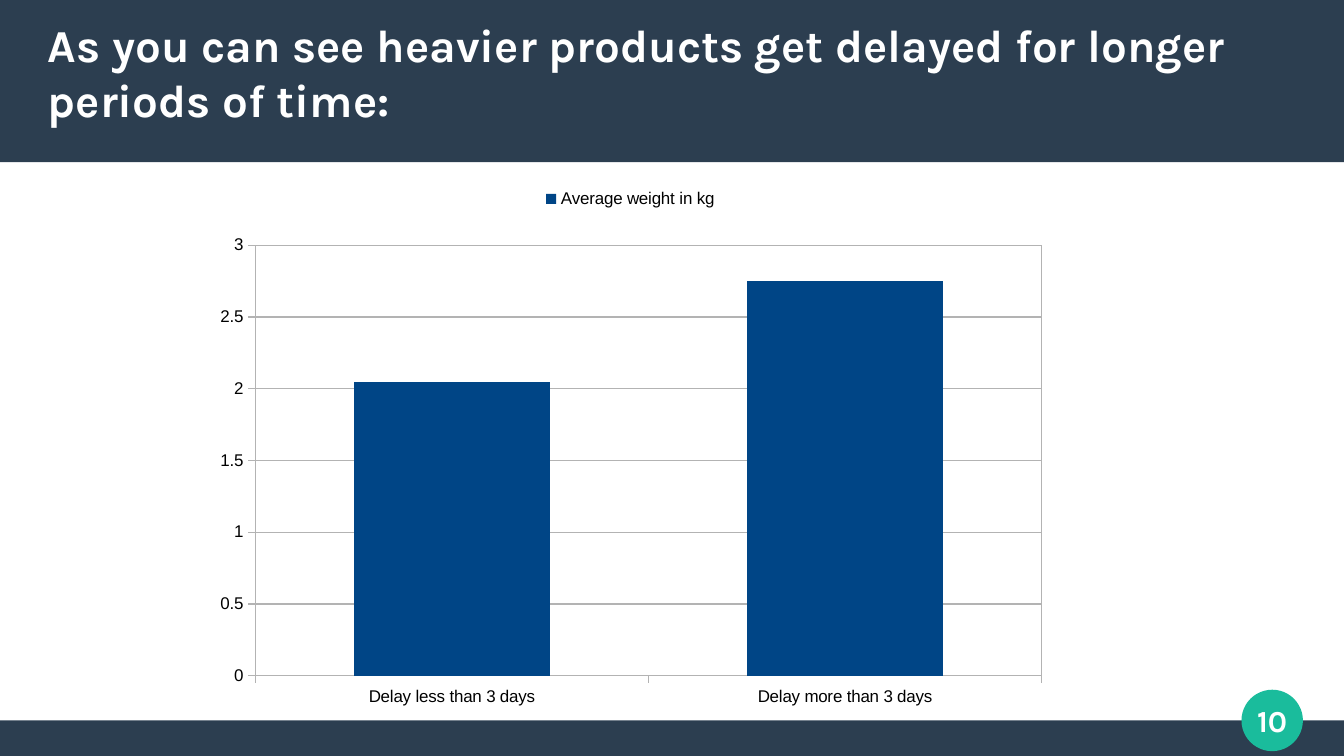
from pptx import Presentation
from pptx.chart.data import CategoryChartData
from pptx.dml.color import RGBColor
from pptx.enum.chart import XL_CHART_TYPE, XL_LEGEND_POSITION, XL_TICK_MARK
from pptx.enum.shapes import MSO_SHAPE
from pptx.enum.text import MSO_ANCHOR, PP_ALIGN
from pptx.oxml import parse_xml
from pptx.oxml.ns import nsdecls, qn
from pptx.util import Cm, Pt

NAVY = RGBColor(0x2C, 0x3E, 0x50)
TEAL = RGBColor(0x1A, 0xBC, 0x9C)
BLUE = RGBColor(0x00, 0x45, 0x86)
GREY = RGBColor(0xB3, 0xB3, 0xB3)
WHITE = RGBColor(0xFF, 0xFF, 0xFF)
BLACK = RGBColor(0x00, 0x00, 0x00)

RECT, OVAL = MSO_SHAPE.RECTANGLE, MSO_SHAPE.OVAL
COLUMN = XL_CHART_TYPE.COLUMN_CLUSTERED
TOP = XL_LEGEND_POSITION.TOP
TICK, NO_TICK = XL_TICK_MARK.OUTSIDE, XL_TICK_MARK.NONE
MIDDLE = MSO_ANCHOR.MIDDLE
LEFT, CENTER = PP_ALIGN.LEFT, PP_ALIGN.CENTER

WIDTH, HEIGHT = 28, 15.75
HEAD, FOOT = 3.38, 0.74


def add_solid(slide, kind, box, color):
    """Add a filled shape without an outline."""
    shape = slide.shapes.add_shape(kind, *map(Cm, box))
    shape.shadow.inherit = False
    shape.fill.solid()
    shape.fill.fore_color.rgb = color
    shape.line.fill.background()
    return shape


def write(shape, text, size, align):
    """Write one bold white run, centred in height, without insets."""
    frame = shape.text_frame
    frame.word_wrap = True
    frame.vertical_anchor = MIDDLE
    frame.margin_left = frame.margin_right = 0
    frame.margin_top = frame.margin_bottom = 0
    para = frame.paragraphs[0]
    para.alignment = align
    run = para.add_run()
    run.text = text
    run.font.name = "Karla"
    run.font.size = Pt(size)
    run.font.bold = True
    run.font.color.rgb = WHITE


def add_head(slide, box, text):
    """Draw the title band and its text."""
    left, top, width, height = box
    add_solid(slide, RECT, box, NAVY)
    title = slide.shapes.add_textbox(
        Cm(left + 1), Cm(top + 0.5), Cm(width - 2), Cm(height - 1.38))
    write(title, text, 27, LEFT)


def add_foot(slide, box, number):
    """Draw the bottom band and the round page badge on its top edge."""
    left, top, width, _ = box
    size = 1.25
    add_solid(slide, RECT, box, NAVY)
    badge = add_solid(
        slide, OVAL, (left + width - 2.12, top - size / 2, size, size), TEAL)
    badge.line.color.rgb = TEAL
    badge.line.width = Pt(0.85)
    write(badge, number, 18, CENTER)


def set_layout(part, index, target, **sizes):
    """Fix the place of a chart part as fractions of the chart."""
    for old in part.findall(qn("c:layout")):
        part.remove(old)
    goal = f'<c:layoutTarget val="{target}"/>' if target else ""
    modes = "".join(f'<c:{key}Mode val="edge"/>' for key in "xy")
    values = "".join(f'<c:{key} val="{val}"/>' for key, val in sizes.items())
    part.insert(index, parse_xml(
        f'<c:layout {nsdecls("c")}><c:manualLayout>{goal}{modes}{values}'
        '</c:manualLayout></c:layout>'))


def make_paint(fill, line):
    """Return chart shape properties with the given fill and line XML."""
    return parse_xml(
        f'<c:spPr {nsdecls("c", "a")}>{fill}<a:ln w="9525">{line}</a:ln></c:spPr>')


def set_line(line):
    """Give a chart line the thin grey style."""
    line.color.rgb = GREY
    line.width = Pt(0.75)


def set_font(font):
    """Give chart text its font."""
    font.name = "Arial"
    font.size = Pt(10)
    font.color.rgb = BLACK


def add_weights(slide, box):
    """Draw the column chart of average weights."""
    data = CategoryChartData()
    data.categories = ["Delay less than 3 days", "Delay more than 3 days"]
    data.add_series("Average weight in kg", (2.05, 2.75))
    chart = slide.shapes.add_chart(COLUMN, *map(Cm, box), data).chart
    chart.has_title = False
    set_font(chart.font)

    chart.has_legend = True
    legend = chart.legend
    legend.position = TOP
    legend.include_in_layout = False
    set_font(legend.font)

    for axis in (chart.category_axis, chart.value_axis):
        axis.major_tick_mark = TICK
        axis.minor_tick_mark = NO_TICK
        set_font(axis.tick_labels.font)
        set_line(axis.format.line)
    scale = chart.value_axis
    scale.minimum_scale, scale.maximum_scale = 0, 3
    scale.major_unit = 0.5
    scale.tick_labels.number_format = "General"
    scale.tick_labels.number_format_is_linked = False
    scale.has_major_gridlines = True
    set_line(scale.major_gridlines.format.line)

    plot = chart.plots[0]
    plot.gap_width = 100
    plot.vary_by_categories = False
    fill = plot.series[0].format.fill
    fill.solid()
    fill.fore_color.rgb = BLUE

    root = chart.element.find(qn("c:chart"))
    area = root.find(qn("c:plotArea"))
    set_layout(area, 0, "inner", x=0.07, y=0.14, w=0.91, h=0.78)
    set_layout(root.find(qn("c:legend")), 1, None, x=0.4, y=0.03)
    solid = '<a:solidFill><a:srgbClr val="{}"/></a:solidFill>'
    area.append(make_paint("<a:noFill/>", solid.format(GREY)))
    root.addnext(make_paint(solid.format(WHITE), "<a:noFill/>"))


def main():
    """Build and save the slide."""
    deck = Presentation()
    deck.slide_width, deck.slide_height = Cm(WIDTH), Cm(HEIGHT)
    slide = deck.slides.add_slide(deck.slide_layouts[6])
    add_foot(slide, (0, HEIGHT - FOOT, WIDTH, FOOT), "10")
    add_head(
        slide, (0, 0, WIDTH, HEAD),
        "As you can see heavier products get delayed for longer periods of time:")
    add_weights(slide, (4.06, 3.5, 18, 11.5))
    deck.save("out.pptx")


if __name__ == "__main__":
    main()
